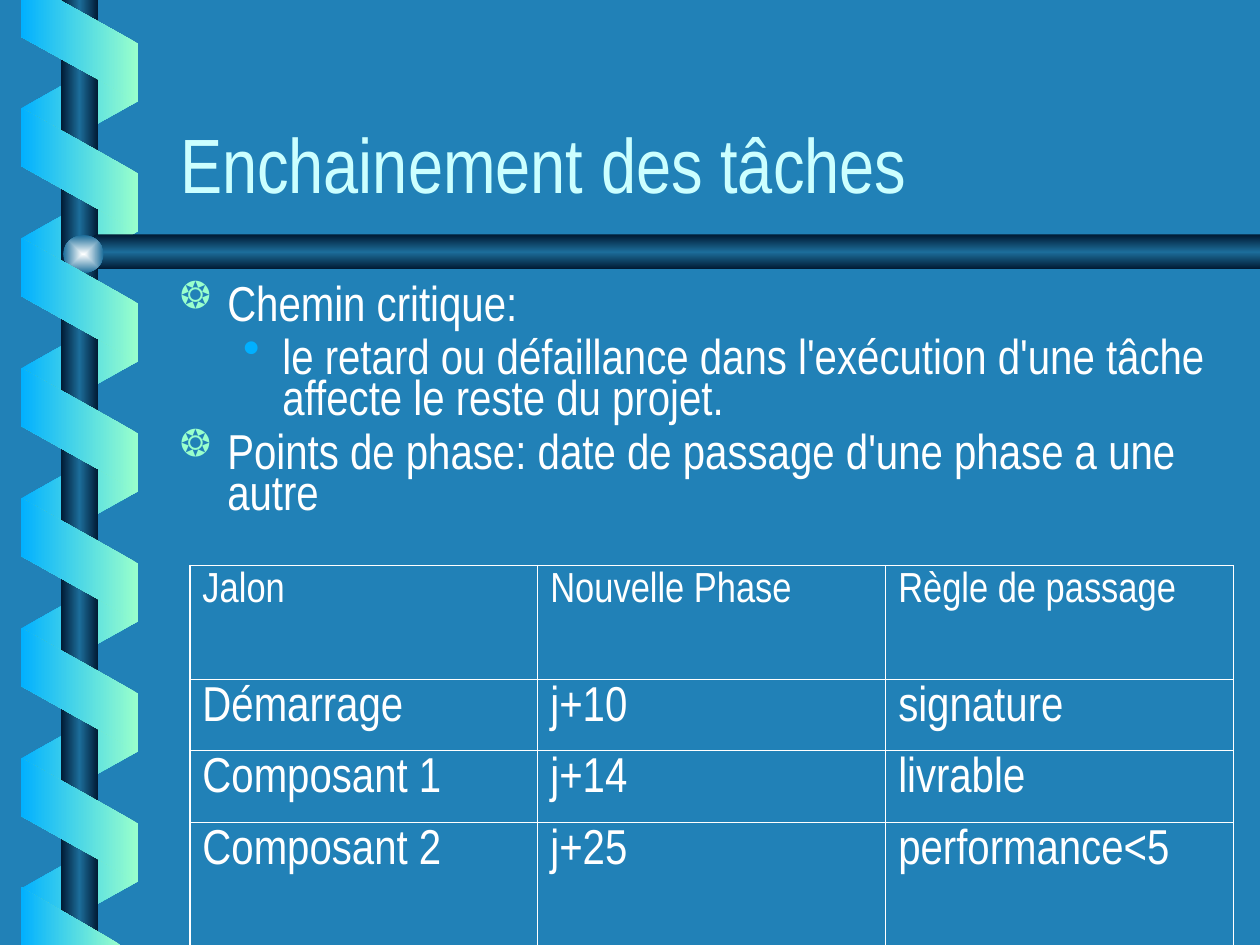
from dataclasses import dataclass
from typing import Optional

from lxml import etree
from pptx import Presentation
from pptx.dml.color import RGBColor
from pptx.enum.shapes import MSO_SHAPE
from pptx.enum.text import MSO_ANCHOR
from pptx.oxml.ns import qn
from pptx.util import Pt

PARALLELOGRAM = MSO_SHAPE.PARALLELOGRAM
RECTANGLE = MSO_SHAPE.RECTANGLE
OVAL = MSO_SHAPE.OVAL
BOTTOM = MSO_ANCHOR.BOTTOM
TOP = MSO_ANCHOR.TOP

FONT = "Arial Narrow"
COLORS = {
    "background": "2181B7",
    "blue": "01B0FF",
    "green": "99FFCC",
    "dark": "001932",
    "steel": "1C6D9A",
    "pearl": "FEFFFF",
    "title": "CCFFFF",
    "text": "FFFFFF",
}
POLE_COLORS = ("dark", "steel", "dark")
FRONT_COLORS = ("green", "blue")
BACK_COLORS = ("blue", "green")
RIBBON_PITCH = 74.3
THIN, THICK = 0.45, 1.08
COLUMN_WIDTH = 198.8
ROW_HEIGHTS = (64.8, 41, 41, 74.9)
TABLE_ROWS = (
    ("Jalon", "Nouvelle Phase", "Règle de passage"),
    ("Démarrage", "j+10", "signature"),
    ("Composant 1", "j+14", "livrable"),
    ("Composant 2", "j+25", "performance<5"),
)


@dataclass(frozen=True)
class Box:
    left: float
    top: float
    width: float
    height: float

    def lengths(self) -> tuple:
        return Pt(self.left), Pt(self.top), Pt(self.width), Pt(self.height)


@dataclass(frozen=True)
class Bullet:
    character: str
    color: str
    percent: int
    level: int
    margin: float
    indent: float


@dataclass(frozen=True)
class Item:
    text: str
    bullet: Bullet


FLOWER = Bullet("❂", "green", 75, 0, 27, -27)
DOT = Bullet("•", "blue", 100, 1, 58.5, -22.5)
ITEMS = (
    Item("Chemin critique:", FLOWER),
    Item("le retard ou défaillance dans l'exécution d'une tâche affecte le reste du projet.", DOT),
    Item("Points de phase: date de passage d'une phase a une autre", FLOWER),
)


def rgb(name: str) -> RGBColor:
    return RGBColor.from_string(COLORS[name])


def add_color(parent, name: str) -> None:
    etree.SubElement(parent, qn("a:srgbClr"), val=COLORS[name])


def paint_gradient(shape, colors: tuple, angle: Optional[int] = None) -> None:
    properties = shape._element.spPr
    gradient = etree.Element(qn("a:gradFill"), rotWithShape="0")
    stops = etree.SubElement(gradient, qn("a:gsLst"))
    for index, name in enumerate(colors):
        position = str(100000 * index // (len(colors) - 1))
        add_color(etree.SubElement(stops, qn("a:gs"), pos=position), name)
    if angle is None:
        radial = etree.SubElement(gradient, qn("a:path"), path="rect")
        sides = dict.fromkeys("ltrb", "50000")
        etree.SubElement(radial, qn("a:fillToRect"), **sides)
    else:
        etree.SubElement(gradient, qn("a:lin"), ang=str(angle * 60000), scaled="1")
    properties.insert(2, gradient)
    shape.line.fill.background()
    shape.shadow.inherit = False


def add_preset(slide, kind, box: Box, colors: tuple, angle: Optional[int] = None):
    shape = slide.shapes.add_shape(kind, *box.lengths())
    paint_gradient(shape, colors, angle)
    return shape


def add_outline(slide, points: tuple, colors: tuple, angle: int) -> None:
    builder = slide.shapes.build_freeform(*points[0], scale=float(Pt(1)))
    builder.add_line_segments(points[1:], close=True)
    paint_gradient(builder.convert_to_shape(), colors, angle)


def add_ribbons(slide, top: float, count: int, colors: tuple, rotation: int, flipped: bool) -> None:
    for index in range(count):
        box = Box(10.1, top + index * RIBBON_PITCH, 70.6, 67)
        ribbon = add_preset(slide, PARALLELOGRAM, box, colors, 180)
        ribbon.adjustments[0] = 0.56
        ribbon.rotation = rotation
        if flipped:
            ribbon._element.spPr.xfrm.set("flipH", "1")


def write_text(paragraph, text: str, *, size: float, color: str = "text",
               bullet: Optional[Bullet] = None) -> None:
    if bullet:
        paragraph.level = bullet.level
        properties = paragraph._p.get_or_add_pPr()
        properties.set("marL", str(Pt(bullet.margin)))
        properties.set("indent", str(Pt(bullet.indent)))
        add_color(etree.SubElement(properties, qn("a:buClr")), bullet.color)
        etree.SubElement(properties, qn("a:buSzPct"), val=str(bullet.percent * 1000))
        etree.SubElement(properties, qn("a:buChar"), char=bullet.character)
    run = paragraph.add_run()
    run.text = text
    run.font.name = FONT
    run.font.size = Pt(size)
    run.font.color.rgb = rgb(color)


def add_text_frame(slide, box: Box, anchor):
    frame = slide.shapes.add_textbox(*box.lengths()).text_frame
    frame.word_wrap = True
    frame.vertical_anchor = anchor
    return frame


def add_body(slide) -> None:
    frame = add_text_frame(slide, Box(95.8, 161.3, 607.7, 151.2), TOP)
    for index, item in enumerate(ITEMS):
        paragraph = frame.add_paragraph() if index else frame.paragraphs[0]
        paragraph.line_spacing = 0.7
        paragraph.space_before = Pt(7 if index else 0)
        write_text(paragraph, item.text, size=28, bullet=item.bullet)


def add_border(cell, side: str, width: float) -> None:
    properties = cell._tc.get_or_add_tcPr()
    border = etree.SubElement(properties, qn(f"a:ln{side}"), w=str(Pt(width)))
    add_color(etree.SubElement(border, qn("a:solidFill")), "text")


def add_milestones(slide) -> None:
    columns = len(TABLE_ROWS[0])
    last_row, last_column = len(TABLE_ROWS) - 1, columns - 1
    box = Box(108.5, 323.2, COLUMN_WIDTH * columns, sum(ROW_HEIGHTS))
    table = slide.shapes.add_table(len(TABLE_ROWS), columns, *box.lengths()).table
    table.first_row = table.horz_banding = False
    for column in table.columns:
        column.width = Pt(COLUMN_WIDTH)
    for row_index, texts in enumerate(TABLE_ROWS):
        table.rows[row_index].height = Pt(ROW_HEIGHTS[row_index])
        for column_index, text in enumerate(texts):
            cell = table.cell(row_index, column_index)
            outer = {"L": column_index == 0, "R": column_index == last_column,
                     "T": row_index == 0, "B": row_index == last_row}
            for side, is_outer in outer.items():
                add_border(cell, side, THICK if is_outer else THIN)
            cell.fill.background()
            write_text(cell.text_frame.paragraphs[0], text, size=28 if row_index else 24)


def main() -> None:
    """Build the slide on task sequencing and save it."""
    presentation = Presentation()
    presentation.slide_width, presentation.slide_height = Pt(720), Pt(540)
    slide = presentation.slides.add_slide(presentation.slide_layouts[6])
    slide.background.fill.solid()
    slide.background.fill.fore_color.rgb = rgb("background")

    add_ribbons(slide, 26.4, 7, BACK_COLORS, 90, True)
    add_preset(slide, RECTANGLE, Box(34.7, 0, 21.6, 540), POLE_COLORS, 180)
    bar = ((720, 134.2), (54.7, 134.2), (43.2, 144), (54.7, 154), (720, 154))
    add_outline(slide, bar, POLE_COLORS, 90)
    add_preset(slide, OVAL, Box(36.2, 134.4, 23, 21.6), ("pearl", "steel"))
    add_ribbons(slide, 63.4, 6, FRONT_COLORS, 270, False)
    upper_end = ((12.1, 0), (12.1, 21.2), (78.8, 58.3), (78.8, 25), (33.8, 0))
    lower_end = ((68.8, 539.6), (12.1, 507.4), (11.8, 540))
    for points in (upper_end, lower_end):
        add_outline(slide, points, FRONT_COLORS, 180)

    title = add_text_frame(slide, Box(95.8, 33.1, 612, 90), BOTTOM)
    write_text(title.paragraphs[0], "Enchainement des tâches", size=44, color="title")
    add_body(slide)
    add_milestones(slide)
    presentation.save("out.pptx")


if __name__ == "__main__":
    main()
